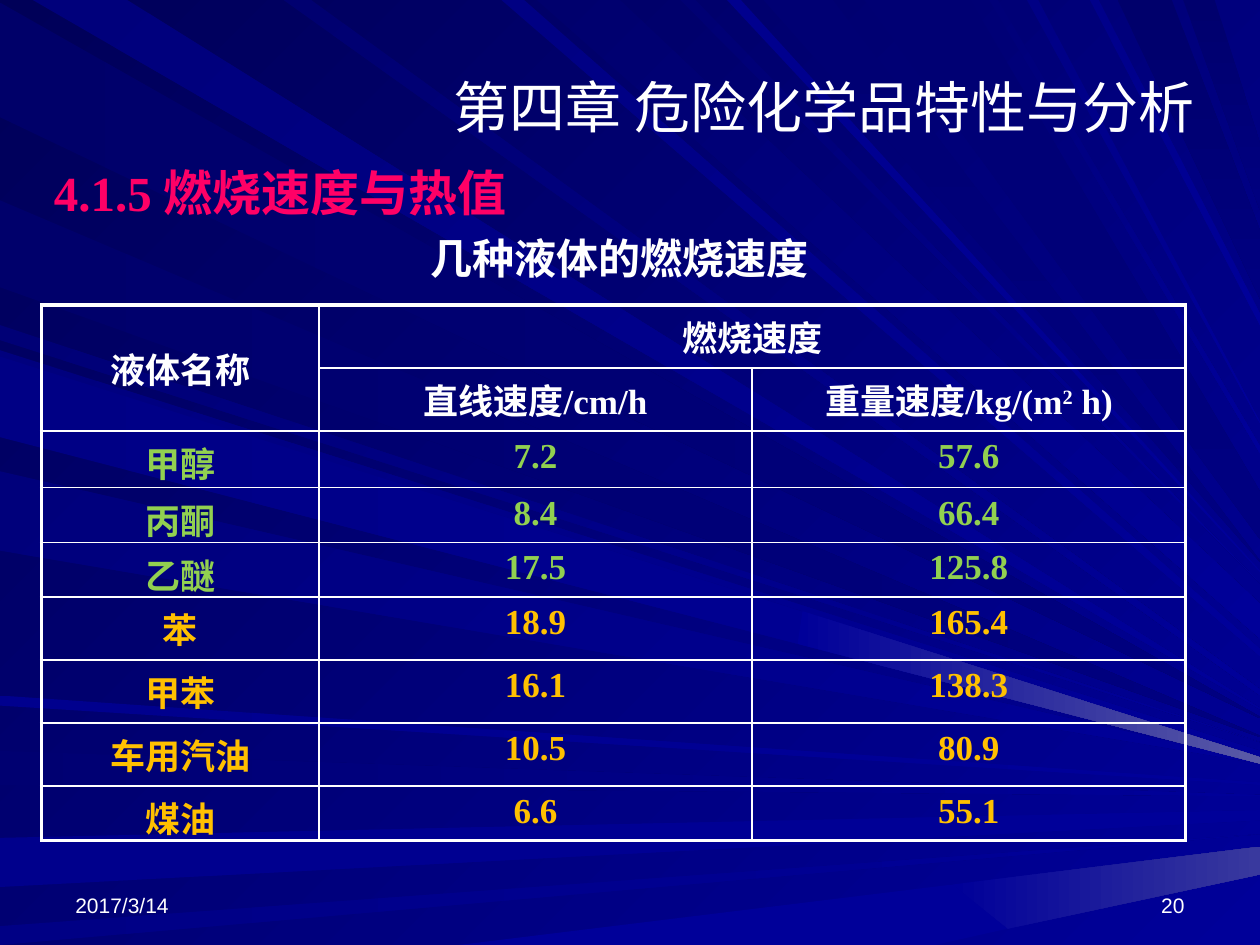
from lxml import etree
from pptx import Presentation
from pptx.dml.color import RGBColor
from pptx.enum.text import MSO_ANCHOR, MSO_AUTO_SIZE, PP_ALIGN
from pptx.oxml.ns import qn
from pptx.util import Inches, Pt

LEFT, CENTER, RIGHT = PP_ALIGN.LEFT, PP_ALIGN.CENTER, PP_ALIGN.RIGHT
TOP, MIDDLE, BOTTOM = MSO_ANCHOR.TOP, MSO_ANCHOR.MIDDLE, MSO_ANCHOR.BOTTOM
GROW = MSO_AUTO_SIZE.SHAPE_TO_FIT_TEXT

WHITE = RGBColor(0xFF, 0xFF, 0xFF)
ROSE = RGBColor(0xFF, 0x00, 0x66)
GREEN = RGBColor(0x92, 0xD0, 0x50)
AMBER = RGBColor(0xFF, 0xC0, 0x00)
NIGHT = RGBColor(0x00, 0x00, 0x58)
NAVY = RGBColor(0x00, 0x00, 0x80)
BLUE = RGBColor(0x00, 0x00, 0x99)
HAZE = RGBColor(0x39, 0x39, 0x9E)
GLOW = RGBColor(0x5A, 0x5A, 0xA6)

PAGE_WIDTH, PAGE_HEIGHT = 10, 7.5

# Each ray runs from the left or top edge to the right edge of the page.
# Group: starting edge, end colour, clockwise gradient angle, rays.
# Ray: blue level at the start, span on the starting edge, span on the right.
RAY_GROUPS = [
    ("left", NAVY, 0, [(0x69, 0.02, 0.93, 5.69, 5.7), (0x6B, 1.59, 2.28, 5.84, 5.85)]),
    ("left", BLUE, 0, [(0x71, 5.96, 6.23, 6.31, 6.32), (0x8C, 6.65, 7.04, 6.43, 6.51),
                       (0x85, 7.35, 7.5, 6.62, 6.62)]),
    ("left", BLUE, 45, [(0x76, 2.58, 2.7, 5.89, 5.89)]),
    ("top", BLUE, 45, [(0x7B, 0.26, 1.01, 5.63, 5.62), (0x83, 3.98, 4.16, 5.21, 5.15),
                       (0x6D, 4.26, 4.92, 5.07, 4.79), (0x73, 5.4, 5.52, 4.63, 4.63)]),
    ("top", NAVY, 90, [(0x73, 6.06, 6.61, 4.46, 4.45), (0x6B, 8.87, 9.3, 2.37, 1.83),
                       (0x6D, 9.39, 9.64, 1.67, 1.14)]),
    ("left", BLUE, 45, [(0x7E, 2.78, 3.42, 5.96, 6.02), (0x7B, 3.74, 4.37, 6.05, 6.06)]),
    ("left", BLUE, 0, [(0x8E, 5.52, 5.6, 6.21, 6.23)]),
    ("top", BLUE, 45, [(0x70, 2.25, 2.47, 5.52, 5.47), (0x8E, 5.77, 5.88, 4.54, 4.53)]),
    ("top", NAVY, 90, [(0x73, 6.86, 7.7, 4.28, 3.9)]),
    ("top", BLUE, 45, [(0x78, 7.85, 7.92, 3.6, 3.54), (0x85, 8.15, 8.24, 3.36, 3.35),
                       (0x8A, 8.65, 8.72, 2.58, 2.49)]),
    ("left", BLUE, 0, [(0x85, 2.83, 3.47, 6.01, 6.06)]),
]

# Lighter patches where rays meet the right and bottom edges.
PATCHES = [
    (BLUE, [(7.42, 7.5), (8, 7.37), (7.56, 7.02), (3.64, 7.5)]),
    (HAZE, [(10, 6.94), (10, 6.72), (7.56, 7.02), (8, 7.37)]),
    (GLOW, [(10, 6.01), (6.37, 4.85), (6.33, 5.11), (10, 6.06)]),
]

# Text boxes: left, top, width, height, anchor, paragraphs
# (text, alignment, font, size, colour, bold).
TEXTS = [
    (0.5, 6.83, 2.33, 0.5, BOTTOM, [("2017/3/14", LEFT, "Arial", 12, WHITE, False)]),
    (7.17, 6.83, 2.33, 0.5, BOTTOM, [("20", RIGHT, "Arial", 12, WHITE, False)]),
    (3.42, 0.33, 6.25, 1.03, MIDDLE,
     [("第四章 危险化学品特性与分析", CENTER, "Arial", 32, WHITE, False)]),
    (0.33, 1.33, 9.17, 1, TOP,
     [("4.1.5 燃烧速度与热值", LEFT, "Times New Roman", 28, ROSE, True),
      ("几种液体的燃烧速度", CENTER, "Times New Roman", 24, WHITE, True)]),
]

COLUMN_WIDTHS = [2.2, 3.44, 3.44]
ROW_HEIGHTS = [0.5, 0.5, 0.45, 0.43, 0.43, 0.5, 0.5, 0.5, 0.43]
HEADER_ROWS = 2
FIRST_AMBER_ROW = 5
SPEEDS = [
    ["液体名称", "燃烧速度", ""],
    ["", "直线速度/cm/h", "重量速度/kg/(m2 h)"],
    ["甲醇", "7.2", "57.6"],
    ["丙酮", "8.4", "66.4"],
    ["乙醚", "17.5", "125.8"],
    ["苯", "18.9", "165.4"],
    ["甲苯", "16.1", "138.3"],
    ["车用汽油", "10.5", "80.9"],
    ["煤油", "6.6", "55.1"],
]


def shade(fill, start, end, angle):
    """Fill with a two-stop linear gradient; the angle runs clockwise."""
    fill.gradient()
    fill.gradient_angle = 360 - angle
    for stop, color in zip(fill.gradient_stops, (start, end)):
        stop.color.rgb = color


def add_span(para, text, font, size, color, bold):
    span = para.add_run()
    span.text = text
    span.font.color.rgb = color
    for name, value in {"name": font, "size": Pt(size), "bold": bold}.items():
        setattr(span.font, name, value)
    return span


deck = Presentation()
deck.slide_width, deck.slide_height = Inches(PAGE_WIDTH), Inches(PAGE_HEIGHT)
page = deck.slides.add_slide(deck.slide_layouts[6])
shade(page.background.fill, NIGHT, BLUE, 45)

outlines = []
for edge, end, angle, rays in RAY_GROUPS:
    for level, near, far, right_near, right_far in rays:
        start = [(0, near), (0, far)] if edge == "left" else [(near, 0), (far, 0)]
        points = start + [(PAGE_WIDTH, right_far), (PAGE_WIDTH, right_near)]
        outlines.append((RGBColor(0, 0, level), end, angle, points))
outlines += [(BLUE, end, 0, points) for end, points in PATCHES]

for start, end, angle, points in outlines:
    corners = [(Inches(x), Inches(y)) for x, y in points]
    builder = page.shapes.build_freeform(*corners[0])
    builder.add_line_segments(corners[1:], close=True)
    ray = builder.convert_to_shape()
    ray.shadow.inherit = False
    ray.line.fill.background()
    shade(ray.fill, start, end, angle)

for left, top, width, height, anchor, paragraphs in TEXTS:
    box = page.shapes.add_textbox(Inches(left), Inches(top), Inches(width), Inches(height))
    frame = box.text_frame
    frame.word_wrap = True
    frame.vertical_anchor = anchor
    for index, (text, align, *style) in enumerate(paragraphs):
        para = frame.add_paragraph() if index else frame.paragraphs[0]
        para.alignment = align
        if len(paragraphs) > 1:
            frame.auto_size = GROW
            para.line_spacing = 0.8
        if index:
            para.space_before = Pt(12)
        add_span(para, text, *style)

table = page.shapes.add_table(
    len(ROW_HEIGHTS), len(COLUMN_WIDTHS), Inches(0.33), Inches(2.42),
    Inches(sum(COLUMN_WIDTHS)), Inches(sum(ROW_HEIGHTS))).table
table.first_row = table.horz_banding = False
for column, width in zip(table.columns, COLUMN_WIDTHS):
    column.width = Inches(width)
for row, height in zip(table.rows, ROW_HEIGHTS):
    row.height = Inches(height)
table.cell(0, 0).merge(table.cell(1, 0))
table.cell(0, 1).merge(table.cell(0, 2))

for row_index, values in enumerate(SPEEDS):
    is_header = row_index < HEADER_ROWS
    color = WHITE if is_header else GREEN if row_index < FIRST_AMBER_ROW else AMBER
    for column_index, text in enumerate(values):
        cell = table.cell(row_index, column_index)
        cell.vertical_anchor = MIDDLE if is_header else TOP
        on_outer_edge = {
            "a:lnL": column_index == 0,
            "a:lnR": column_index + cell.span_width == len(COLUMN_WIDTHS),
            "a:lnT": row_index == 0,
            "a:lnB": row_index + cell.span_height == len(ROW_HEIGHTS),
        }
        properties = cell._tc.get_or_add_tcPr()
        for tag, outer in on_outer_edge.items():
            border = etree.SubElement(properties, qn(tag), w=str(Pt(2.25 if outer else 1)))
            paint = etree.SubElement(border, qn("a:solidFill"))
            etree.SubElement(paint, qn("a:srgbClr"), val=str(WHITE))
        cell.fill.background()
        if not text:
            continue
        para = cell.text_frame.paragraphs[0]
        para.alignment = CENTER
        before, square, after = text.partition("m2")
        style = ("Times New Roman", 20, color, True)
        if square:
            add_span(para, before + "m", *style)
            add_span(para, "2", *style).font._element.set("baseline", "30000")
            add_span(para, after, *style)
        else:
            add_span(para, text, *style)

deck.save("out.pptx")
